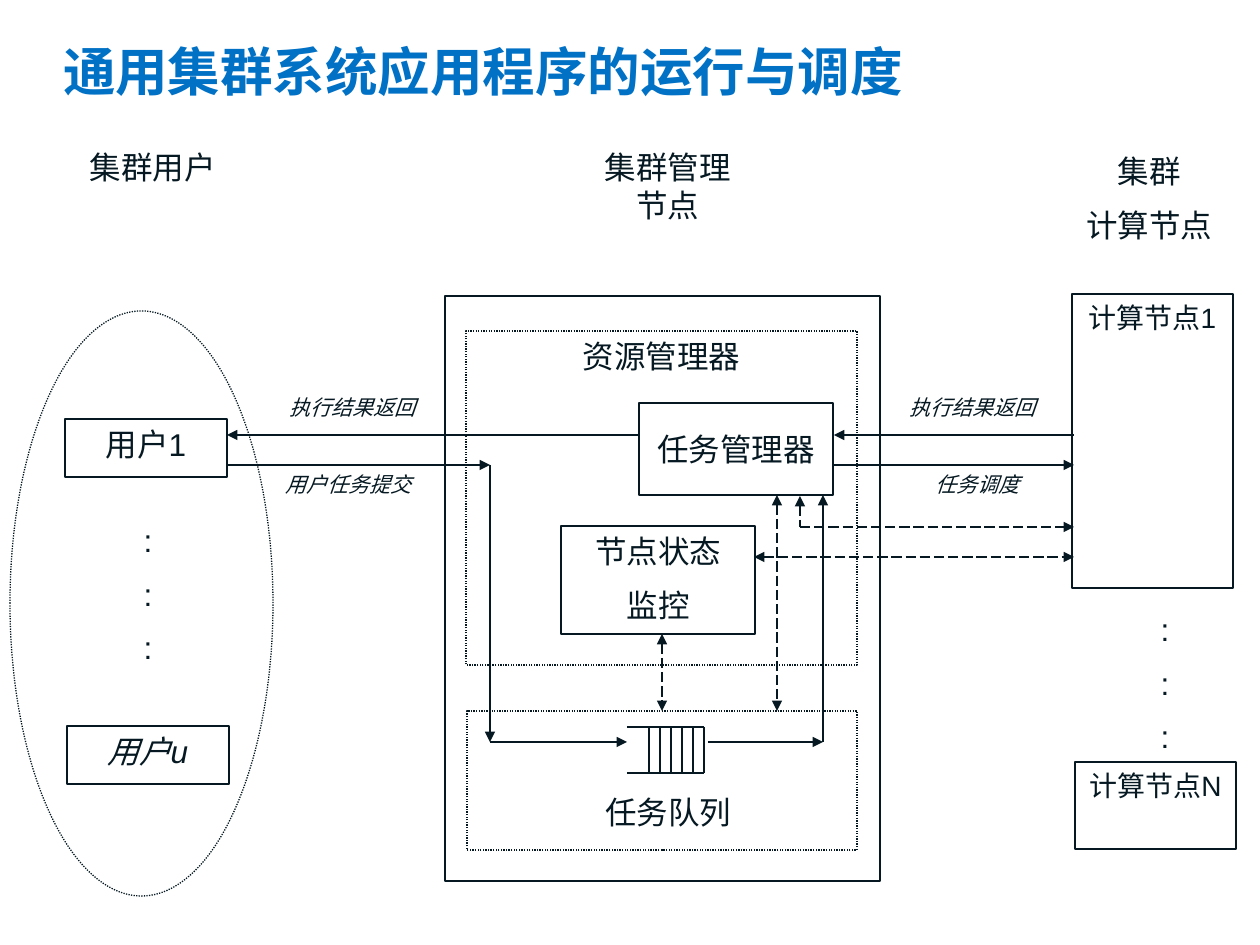
from dataclasses import dataclass

from lxml import etree
from pptx import Presentation
from pptx.dml.color import RGBColor
from pptx.enum.dml import MSO_LINE
from pptx.enum.shapes import MSO_CONNECTOR, MSO_SHAPE
from pptx.enum.text import MSO_ANCHOR, MSO_AUTO_SIZE, PP_ALIGN
from pptx.oxml.ns import qn
from pptx.util import Emu, Inches, Pt

RECT, OVAL = MSO_SHAPE.RECTANGLE, MSO_SHAPE.OVAL
STRAIGHT = MSO_CONNECTOR.STRAIGHT
DOT, DASH = MSO_LINE.ROUND_DOT, MSO_LINE.LONG_DASH
TOP, MIDDLE = MSO_ANCHOR.TOP, MSO_ANCHOR.MIDDLE
LEFT, CENTER = PP_ALIGN.LEFT, PP_ALIGN.CENTER
NO_FIT = MSO_AUTO_SIZE.NONE
PX_PER_INCH = 126
DOTS = (":", ":", ":")


@dataclass(frozen=True)
class Theme:
    ink: RGBColor = RGBColor(0x06, 0x19, 0x22)
    title: RGBColor = RGBColor(0x00, 0x71, 0xC5)
    title_font: str = "DejaVu Sans"
    font: str = "Arial"
    title_size: int = 30
    body: int = 18
    node: int = 16
    note: int = 12
    line: float = 0.75
    gap: int = 9


THEME = Theme()


def px(n):
    return Emu(round(n * 914400 / PX_PER_INCH))


def place(box, x, y, w, h):
    """Turn a box relative to a region into slide lengths."""
    return px(box[0] + x), px(box[1] + y), px(w), px(h)


def write(tf, lines, size=THEME.body, italic=False, anchor=TOP):
    tf.word_wrap = True
    tf.auto_size = NO_FIT
    tf.vertical_anchor = anchor
    for i, line in enumerate(lines):
        p = tf.add_paragraph() if i else tf.paragraphs[0]
        p.alignment = CENTER
        if i:
            p.space_before = Pt(THEME.gap)
        r = p.add_run()
        r.text = line
        r.font.name = THEME.font
        r.font.size = Pt(size)
        r.font.italic = italic
        r.font.color.rgb = THEME.ink


def draw_outline(line, dash=None):
    line.color.rgb = THEME.ink
    line.width = Pt(THEME.line)
    if dash:
        line.dash_style = dash


def add_label(s, box, at, *lines, **style):
    write(s.shapes.add_textbox(*place(box, *at)).text_frame, lines, **style)


def add_frame(s, box, at, *lines, kind=RECT, dash=None, **style):
    sp = s.shapes.add_shape(kind, *place(box, *at))
    sp.shadow.inherit = False
    sp.fill.background()
    draw_outline(sp.line, dash)
    if lines:
        write(sp.text_frame, lines, **style)


def add_line(s, box, ends, arrows=(), dash=None):
    """Draw a line; arrows names the ends ("head", "tail") with a triangle."""
    x1, y1, x2, y2 = ends
    c = s.shapes.add_connector(STRAIGHT, px(box[0] + x1), px(box[1] + y1),
                               px(box[0] + x2), px(box[1] + y2))
    draw_outline(c.line, dash)
    ln = c.line._get_or_add_ln()
    for end in arrows:
        etree.SubElement(ln, qn(f"a:{end}End"), type="triangle")
    etree.SubElement(c._element.spPr, qn("a:effectLst"))


END, BOTH = ("tail",), ("head", "tail")


def add_title(s, box, text):
    sp = s.shapes.title
    sp.left, sp.top, sp.width, sp.height = place(box, 0, 0, *box[2:])
    tf = sp.text_frame
    tf.margin_left = tf.margin_right = tf.margin_top = tf.margin_bottom = 0
    tf.word_wrap = True
    tf.auto_size = NO_FIT
    tf.vertical_anchor = TOP
    p = tf.paragraphs[0]
    p.alignment = LEFT
    p.line_spacing = Pt(26)
    r = p.add_run()
    r.text = text
    r.font.name = THEME.title_font
    r.font.size = Pt(THEME.title_size)
    r.font.bold = True
    r.font.color.rgb = THEME.title


def add_headings(s, box):
    add_label(s, box, (0, 0, 171, 92), "集群用户")
    add_label(s, box, (515, 0, 171, 92), "集群管理节点")
    add_label(s, box, (985, 4, 194, 105), "集群", "计算节点")


def add_users(s, box):
    add_frame(s, box, (0, 0, *box[2:]), kind=OVAL, dash=DOT)
    add_frame(s, box, (55, 108, 162, 58), "用户1")
    add_label(s, box, (57, 204, 162, 165), *DOTS)
    add_frame(s, box, (57, 415, 162, 58), "用户u", italic=True)


def add_queue(s, box):
    """Draw the open-ended queue with its evenly spaced slots."""
    w, h = box[2:]
    for y in (0, h):
        add_line(s, box, (0, y, w, y))
    for i in range(6):
        x = w - 11 * i
        add_line(s, box, (x, 0, x, h))


def add_manager(s, box):
    add_frame(s, box, (0, 0, *box[2:]))
    add_frame(s, box, (21, 35, 391, 334), "资源管理器", dash=DOT)
    add_frame(s, box, (194, 107, 194, 92), "任务管理器", anchor=MIDDLE)
    add_frame(s, box, (116, 230, 194, 108), "节点状态", "监控")
    add_frame(s, box, (22, 415, 390, 139), dash=DOT)
    add_label(s, box, (0, 491, 446, 62), "任务队列")
    add_queue(s, (box[0] + 182, box[1] + 431, 77, 46))
    for ends in ((45, 169, 45, 446), (45, 446, 182, 446),
                 (263, 446, 378, 446), (378, 446, 378, 199)):
        add_line(s, box, ends, END)
    for ends in ((217, 338, 217, 415), (332, 199, 332, 415)):
        add_line(s, box, ends, BOTH, DASH)


def add_compute_nodes(s, box):
    add_frame(s, box, (0, 0, 161, 294), "计算节点1", size=THEME.node)
    add_label(s, box, (12, 310, 162, 169), *DOTS)
    add_frame(s, box, (3, 468, 161, 87), "计算节点N", size=THEME.node)


def add_links(s, box):
    """Draw the arrows and notes that join the three regions."""
    back, out, status, monitor = 47, 77, 139, 169
    right = box[2]
    for ends in ((412, back, 0, back), (0, out, 263, out),
                 (right, back, 607, back), (607, out, right, out)):
        add_line(s, box, ends, END)
    add_line(s, box, (573, 108, 573, status), ("head",), DASH)
    add_line(s, box, (573, status, right, status), END, DASH)
    add_line(s, box, (527, monitor, right, monitor), BOTH, DASH)
    for x, y, w, text in ((10, 0, 231, "执行结果返回"),
                          (-12, out, 267, "用户任务提交"),
                          (618, 0, 255, "执行结果返回"),
                          (641, out, 219, "任务调度")):
        add_label(s, box, (x, y, w, 46), text, size=THEME.note, italic=True)


def main():
    prs = Presentation()
    prs.slide_width, prs.slide_height = Inches(10), Inches(7.5)
    s = prs.slides.add_slide(prs.slide_layouts[5])
    add_title(s, (63, 57, 1134, 122), "通用集群系统应用程序的运行与调度")
    add_headings(s, (67, 142, 1179, 109))
    add_users(s, (10, 311, 263, 585))
    add_manager(s, (445, 296, 435, 585))
    add_compute_nodes(s, (1072, 294, 164, 555))
    add_links(s, (227, 388, 847, 170))
    prs.save("out.pptx")


if __name__ == "__main__":
    main()
